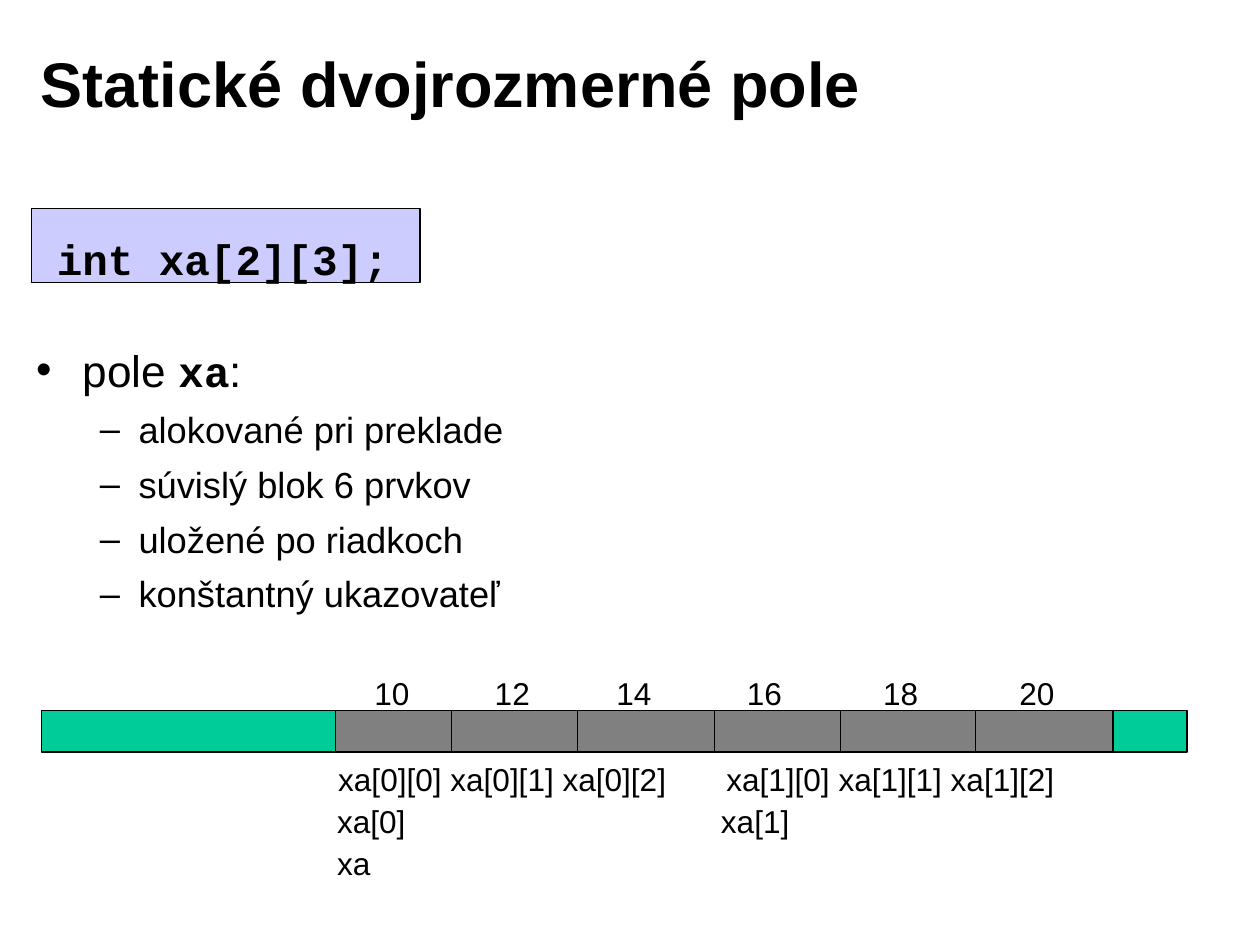
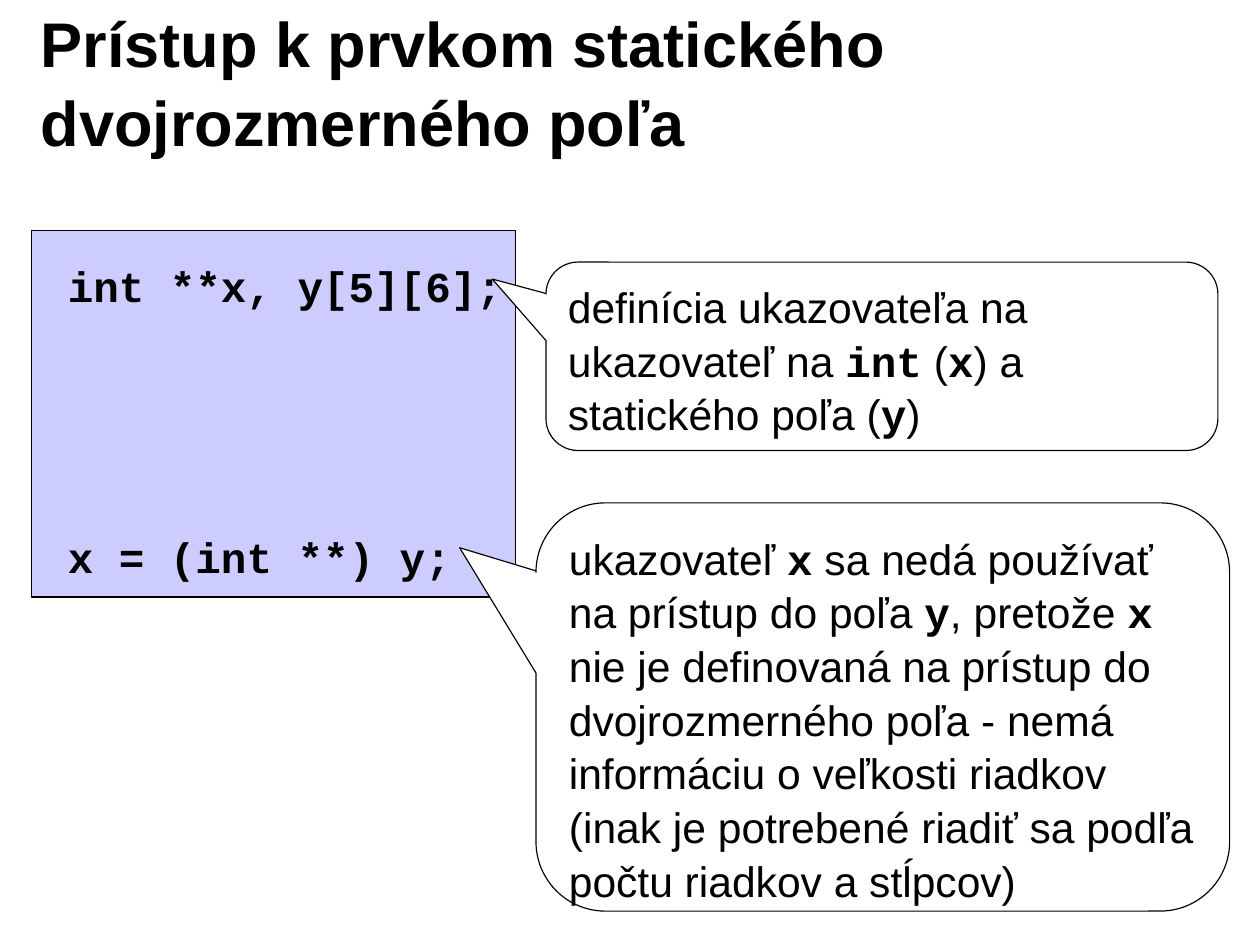
"""Build two slides on static two-dimensional arrays in C."""
from dataclasses import dataclass
from typing import Any

from lxml import etree
from pptx import Presentation
from pptx.dml.color import RGBColor
from pptx.enum.shapes import MSO_CONNECTOR, MSO_SHAPE
from pptx.enum.text import MSO_ANCHOR, PP_ALIGN
from pptx.oxml.ns import qn
from pptx.util import Pt

RECT = MSO_SHAPE.RECTANGLE
BUBBLE = MSO_SHAPE.ROUNDED_RECTANGULAR_CALLOUT
LINE = MSO_CONNECTOR.STRAIGHT
TOP, MIDDLE = MSO_ANCHOR.TOP, MSO_ANCHOR.MIDDLE
LEFT = PP_ALIGN.LEFT
COLORS = {"ink": "000000", "paper": "FFFFFF", "code": "CCCCFF",
          "free": "00CC99", "used": "808080"}
SANS, MONO = "Arial", "Courier New"
SIZE = 27
BAND_TOP, BAND_TALL = 450.7, 26.4
BAND_LEFT, BAND_RIGHT = 26.6, 753


@dataclass(frozen=True)
class Box:
    left: float
    top: float
    width: float
    height: float

    def sides(self) -> list[Pt]:
        return [Pt(n) for n in (self.left, self.top, self.width, self.height)]


@dataclass(frozen=True)
class Item:
    text: str
    mark: str
    size: float
    level: int
    margin: float
    hang: float
    before: float


@dataclass(frozen=True)
class Cell:
    left: float
    label: float
    mark: str


@dataclass(frozen=True)
class Note:
    box: Box
    tip: tuple[float, float]
    text: str


CELLS = [Cell(213, 230.4, "10"), Cell(286.5, 306.7, "12"),
         Cell(366.5, 383.8, "14"), Cell(453, 466.6, "16"),
         Cell(533, 553, "18"), Cell(619, 639.4, "20")]
CELLS_END = 706
NAMES = [(207.4, 477.5, "xa[0][0] xa[0][1] xa[0][2]"),
         (453.6, 477.5, "xa[1][0] xa[1][1] xa[1][2]"),
         (206.7, 504.2, "xa[0]"), (450.2, 504.2, "xa[1]"),
         (206.7, 530.9, "xa")]
ITEMS = [Item("pole `xa`:", "•", 28, 0, 29.5, 29.5, 7)] + [
    Item(text, "–", 23, 1, 64.8, 24.5, 5.8) for text in (
        "alokované pri preklade", "súvislý blok 6 prvkov",
        "uložené po riadkoch", "konštantný ukazovateľ")]
NOTES = [
    Note(Box(340, 319, 440, 259), (-0.61, -0.39),
         "ukazovateľ `x` sa nedá používať na prístup do poľa `y`, pretože `x` "
         "nie je definovaná na prístup do dvojrozmerného poľa - nemá "
         "informáciu o veľkosti riadkov (inak je potrebené riadiť sa podľa "
         "počtu riadkov a stĺpcov)"),
    Note(Box(346.3, 166.3, 426.2, 119.5), (-0.58, -0.41),
         "definícia ukazovateľa na ukazovateľ na `int` (`x`) "
         "a statického poľa (`y`)")]


def color(name: str) -> RGBColor:
    """Look up a named colour."""
    return RGBColor.from_string(COLORS[name])


def write(para: Any, text: str, *, size: float = SIZE, bold: bool = False) -> None:
    """Fill a paragraph, with code between backticks."""
    para.alignment = LEFT
    para.line_spacing = 1.05
    for i, part in enumerate(text.split("`")):
        if part:
            code = i % 2 == 1
            run = para.add_run()
            run.text = part
            font = run.font
            font.name = MONO if code else SANS
            font.size = Pt(SIZE if code else size)
            font.bold = bold or code
            font.color.rgb = color("ink")


def frame(shape: Any, anchor: Any = TOP, inset: tuple[float, float] = (8, 4.3)) -> Any:
    """Set up wrapping, anchor and margins of a text frame."""
    body = shape.text_frame
    body.word_wrap = True
    body.vertical_anchor = anchor
    body.margin_left = body.margin_right = Pt(inset[0])
    body.margin_top = body.margin_bottom = Pt(inset[1])
    return body


def label(slide: Any, box: Box, text: str, *, anchor: Any = TOP,
          inset: tuple[float, float] = (8, 4.3), **style: Any) -> None:
    """Add a text box of one paragraph."""
    body = frame(slide.shapes.add_textbox(*box.sides()), anchor, inset)
    write(body.paragraphs[0], text, **style)


def panel(slide: Any, box: Box, fill: str, kind: Any = RECT) -> Any:
    """Add a filled shape with a thin outline."""
    shape = slide.shapes.add_shape(kind, *box.sides())
    shape.shadow.inherit = False
    shape.fill.solid()
    shape.fill.fore_color.rgb = color(fill)
    shape.line.color.rgb = color("ink")
    shape.line.width = Pt(0.75)
    return shape


def divide(slide: Any, left: float) -> None:
    """Draw a line between two memory cells."""
    line = slide.shapes.add_connector(
        LINE, Pt(left), Pt(BAND_TOP), Pt(left), Pt(BAND_TOP + BAND_TALL))
    line.line.color.rgb = color("ink")
    line.line.width = Pt(0.75)
    etree.SubElement(line._element.spPr, qn("a:effectLst"))


def bullets(slide: Any, box: Box, items: list[Item]) -> None:
    """Add a bulleted list."""
    body = frame(slide.shapes.add_textbox(*box.sides()))
    for i, item in enumerate(items):
        para = body.add_paragraph() if i else body.paragraphs[0]
        write(para, item.text, size=item.size)
        para.level = item.level
        para.space_before = Pt(item.before)
        props = para._p.get_or_add_pPr()
        props.set("marL", str(Pt(item.margin)))
        props.set("indent", str(-Pt(item.hang)))
        tint = etree.SubElement(props, qn("a:buClr"))
        etree.SubElement(tint, qn("a:srgbClr"), val=COLORS["ink"])
        etree.SubElement(props, qn("a:buFont"), typeface=SANS)
        etree.SubElement(props, qn("a:buChar"), char=item.mark)


def memory(slide: Any) -> None:
    """Draw the memory band with its addresses and names."""
    start = CELLS[0].left
    for left, right, fill in ((start, CELLS_END, "used"),
                              (CELLS_END, BAND_RIGHT, "free"),
                              (BAND_LEFT, start, "free")):
        panel(slide, Box(left, BAND_TOP, right - left, BAND_TALL), fill)
    for cell in CELLS[1:]:
        divide(slide, cell.left)
    marks = [(cell.label, 423, cell.mark) for cell in CELLS]
    for left, top, text in marks + NAMES:
        width = 40 if len(text) < 3 else 240
        label(slide, Box(left, top, width, 31.7), text,
              size=20, inset=(7.2, 3.6))


def start(deck: Any, title: str) -> Any:
    """Add a blank slide with its title."""
    slide = deck.slides.add_slide(deck.slide_layouts[6])
    slide.background.fill.solid()
    slide.background.fill.fore_color.rgb = color("paper")
    label(slide, Box(18, 14, 641.5, 73.4), title,
          size=40, bold=True, anchor=MIDDLE)
    return slide


def layout(deck: Any) -> None:
    """Draw the slide on how the array is stored."""
    slide = start(deck, "Statické dvojrozmerné pole")
    bullets(slide, Box(15.1, 211.7, 767.5, 187.2), ITEMS)
    panel(slide, Box(20.2, 132.5, 246.2, 46.8), "code")
    label(slide, Box(28, 142, 240, 40), "`int xa[2][3];`")
    memory(slide)


def access(deck: Any) -> None:
    """Draw the slide on access to elements."""
    slide = start(deck, "Prístup k prvkom statického dvojrozmerného poľa")
    panel(slide, Box(20.2, 146.2, 306.7, 232.6), "code")
    for top, text in ((159, "`int **x, y[5][6];`"), (331, "`x = (int **) y;`")):
        label(slide, Box(35, top, 300, 40), text)
    for note in NOTES:
        shape = panel(slide, note.box, "paper", BUBBLE)
        for i, value in enumerate((*note.tip, 0.17)):
            shape.adjustments[i] = value
        write(frame(shape).paragraphs[0], note.text)


def main() -> None:
    """Build and save the deck."""
    deck = Presentation()
    deck.slide_width, deck.slide_height = Pt(799.2), Pt(597.6)
    layout(deck)
    access(deck)
    deck.save("out.pptx")


if __name__ == "__main__":
    main()
